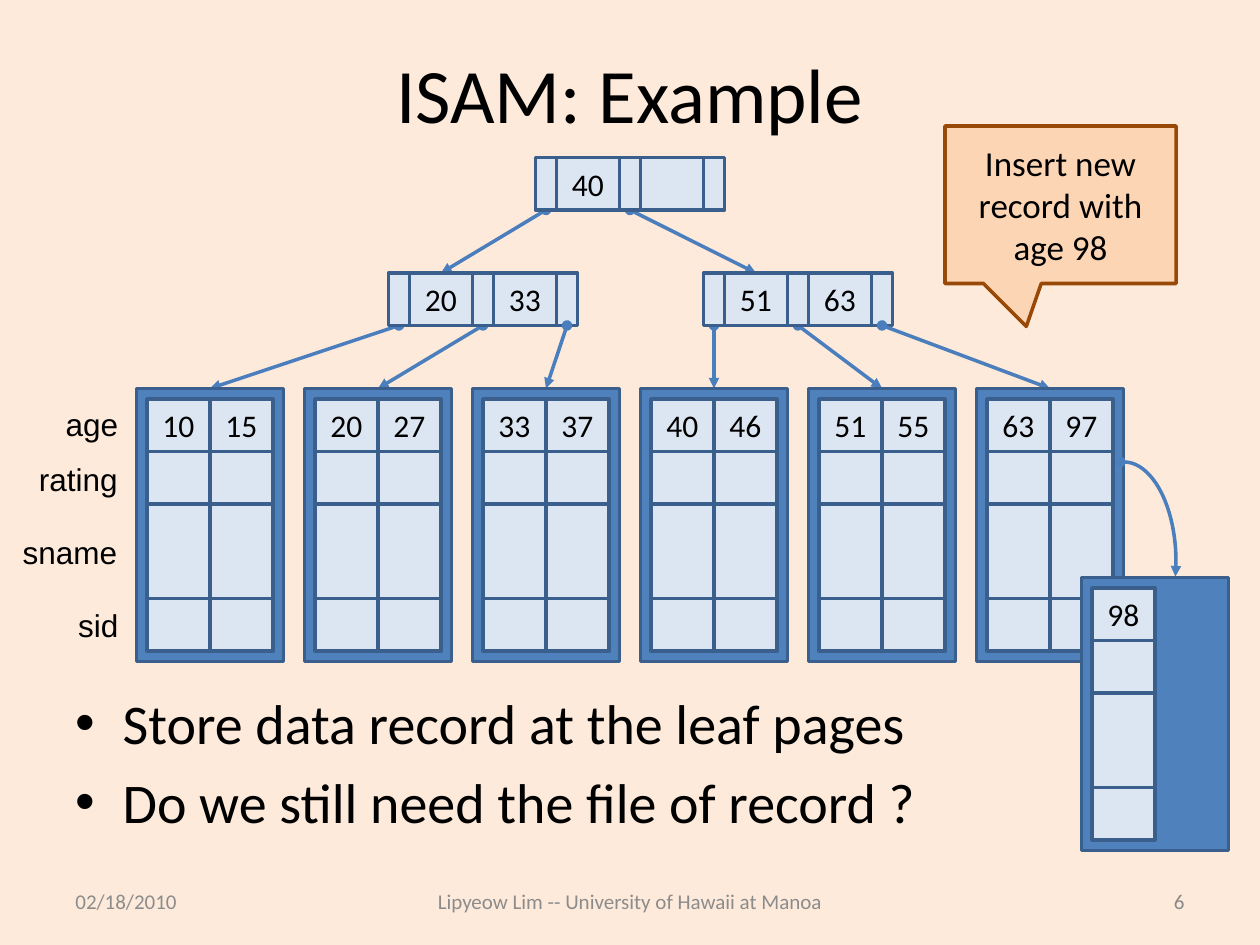
from lxml.etree import SubElement
from pptx import Presentation
from pptx.dml.color import RGBColor
from pptx.enum.shapes import MSO_CONNECTOR, MSO_SHAPE
from pptx.enum.text import MSO_ANCHOR, PP_ALIGN
from pptx.oxml.ns import qn
from pptx.util import Pt

COLORS = {
    "background": "FDEADA",
    "text": "000000",
    "footer": "8C8C8C",
    "page number": "898989",
    "cell": "DCE6F2",
    "leaf": "4F81BD",
    "outline": "3A5F8C",
    "arrow": "4B7EBC",
    "callout": "FCD5B5",
    "callout outline": "984807",
}

# Index and leaf geometry, in points
POINTER_WIDTH, KEY_WIDTH, ROW_HEIGHT = 12, 36, 30
LEAF_LEFT, LEAF_TOP, LEAF_WIDTH, LEAF_STEP, LEAF_MARGIN = 78, 222, 84, 96, 6
FIELD_HEIGHTS = [30, 30, 54, 30]
LEAF_HEIGHT = sum(FIELD_HEIGHTS) + 2 * LEAF_MARGIN

LEAVES = [("10", "15"), ("20", "27"), ("33", "37"),
          ("40", "46"), ("51", "55"), ("63", "97")]
# Field name, top, width; all end at the same right edge
FIELD_LABELS = [("age", 228.2, 44.6), ("rating", 259.2, 59.8),
                ("sname", 301, 69.1), ("sid", 342.7, 37.4)]
LABEL_RIGHT = 75
POINTS = ["Store data record at the leaf pages",
          "Do we still need the file of record ?"]


def color(name):
    return RGBColor.from_string(COLORS[name])


def style_para(para, size, align=PP_ALIGN.LEFT, font="Calibri", ink="text"):
    para.alignment = align
    para.font.name = font
    para.font.size = Pt(size)
    para.font.color.rgb = color(ink)


def add_text(page, text, left, top, width, height, size, align=PP_ALIGN.LEFT,
             font="Calibri", ink="text", anchor=MSO_ANCHOR.MIDDLE, wrap=True):
    box = page.shapes.add_textbox(Pt(left), Pt(top), Pt(width), Pt(height))
    frame = box.text_frame
    frame.word_wrap = wrap
    frame.vertical_anchor = anchor
    frame.text = text
    style_para(frame.paragraphs[0], size, align, font, ink)
    return box


def add_bullets(page, lines, left, top, width, height, size):
    box = page.shapes.add_textbox(Pt(left), Pt(top), Pt(width), Pt(height))
    frame = box.text_frame
    frame.word_wrap = True
    for index, line in enumerate(lines):
        para = frame.add_paragraph() if index else frame.paragraphs[0]
        para.text = line
        if index:
            para.space_before = Pt(size * 0.2)
        properties = para._p.get_or_add_pPr()
        properties.set("marL", str(Pt(27)))
        properties.set("indent", str(-Pt(27)))
        SubElement(properties, qn("a:buFont"), typeface="Arial")
        SubElement(properties, qn("a:buChar"), char="•")
        style_para(para, size)


def add_box(shapes, left, top, width, height, fill="cell", outline="outline",
            text="", size=18, kind=MSO_SHAPE.RECTANGLE):
    box = shapes.add_shape(kind, Pt(left), Pt(top), Pt(width), Pt(height))
    box.shadow.inherit = False
    box.fill.solid()
    box.fill.fore_color.rgb = color(fill)
    box.line.color.rgb = color(outline)
    box.line.width = Pt(2)
    if text:
        box.text_frame.word_wrap = True
        box.text_frame.vertical_anchor = MSO_ANCHOR.MIDDLE
        box.text_frame.text = text
        style_para(box.text_frame.paragraphs[0], size, PP_ALIGN.CENTER)
    return box


def add_index_node(page, left, top, keys):
    """Alternate pointer and key cells; return group, pointers, first key."""
    group = page.shapes.add_group_shape()
    step = POINTER_WIDTH + KEY_WIDTH
    key_cells = [add_box(group.shapes, left + POINTER_WIDTH + step * index, top,
                         KEY_WIDTH, ROW_HEIGHT, text=key)
                 for index, key in enumerate(keys)]
    pointers = [add_box(group.shapes, left + step * index, top,
                        POINTER_WIDTH, ROW_HEIGHT)
                for index in range(len(keys) + 1)]
    return group, pointers, key_cells[0]


def add_leaf(page, left, top, ages):
    """A leaf page with one column per record; return its frame."""
    group = page.shapes.add_group_shape()
    frame = add_box(group.shapes, left, top, LEAF_WIDTH, LEAF_HEIGHT, "leaf")
    cell_top = top + LEAF_MARGIN
    for row, height in enumerate(FIELD_HEIGHTS):
        for column, age in enumerate(ages):
            add_box(group.shapes, left + LEAF_MARGIN + KEY_WIDTH * column,
                    cell_top, KEY_WIDTH, height, text="" if row else age)
        cell_top += height
    return frame


def style_arrow(line):
    line.color.rgb = color("arrow")
    line.width = Pt(2)
    properties = line._get_or_add_ln()
    SubElement(properties, qn("a:headEnd"), type="oval")
    SubElement(properties, qn("a:tailEnd"), type="triangle")


def connect(page, pointer, target):
    arrow = page.shapes.add_connector(MSO_CONNECTOR.STRAIGHT, 0, 0, 0, 0)
    arrow.begin_connect(pointer, 2)
    arrow.end_connect(target, 0)
    style_arrow(arrow.line)
    SubElement(arrow._element.spPr, qn("a:effectLst"))
    return arrow


def connect_children(page, node, targets):
    """The last pointer's dot lies over the node, the others under it."""
    group, pointers, _ = node
    for pointer, target in zip(pointers, targets):
        arrow = connect(page, pointer, target)
        if pointer is pointers[-1]:
            group._element.addnext(arrow._element)
        else:
            group._element.addprevious(arrow._element)


def add_overflow_arc(page):
    arc = page.shapes.add_shape(MSO_SHAPE.ARC, Pt(612), Pt(264), Pt(60), Pt(114))
    arc.adjustments[0] = 160.961
    arc.adjustments[1] = 9.567
    arc.shadow.inherit = False
    arc.fill.background()
    style_arrow(arc.line)


def main():
    deck = Presentation()
    deck.slide_width, deck.slide_height = Pt(720), Pt(540)
    page = deck.slides.add_slide(deck.slide_layouts[6])
    page.background.fill.solid()
    page.background.fill.fore_color.rgb = color("background")

    # Title, bullets and footer
    add_text(page, "ISAM: Example", 36, 21.6, 648, 62.6, 44, PP_ALIGN.CENTER)
    add_bullets(page, POINTS, 36, 390, 648, 92, 32)
    for text, left, width, align, ink in [
            ("02/18/2010", 36, 168, PP_ALIGN.LEFT, "footer"),
            ("Lipyeow Lim -- University of Hawaii at Manoa", 216, 288,
             PP_ALIGN.CENTER, "footer"),
            ("6", 516, 168, PP_ALIGN.RIGHT, "page number")]:
        add_text(page, text, left, 500.5, width, 28.8, 12, align, ink=ink)

    # Field names beside the leaves
    for name, top, width in FIELD_LABELS:
        add_text(page, name, LABEL_RIGHT - width, top, width, 28.8, 18,
                 font="Arial", anchor=MSO_ANCHOR.TOP, wrap=False)

    # Index tree and leaf pages
    root = add_index_node(page, 306, 90, ["40", ""])
    low = add_index_node(page, 222, 156, ["20", "33"])
    high = add_index_node(page, 402, 156, ["51", "63"])
    leaves = [add_leaf(page, LEAF_LEFT + LEAF_STEP * index, LEAF_TOP, ages)
              for index, ages in enumerate(LEAVES)]
    connect_children(page, root, [low[2], high[2]])
    connect_children(page, low, leaves[:3])
    connect_children(page, high, leaves[3:])

    # Overflow page for the inserted record
    add_leaf(page, 618, 330, ["98"])
    add_overflow_arc(page)
    callout = add_box(page.shapes, 540, 72, 132, 90, "callout", "callout outline",
                      "Insert new record with age 98", 20,
                      MSO_SHAPE.RECTANGULAR_CALLOUT)
    callout.adjustments[0] = -0.148
    callout.adjustments[1] = 0.773

    deck.save("out.pptx")


if __name__ == "__main__":
    main()
